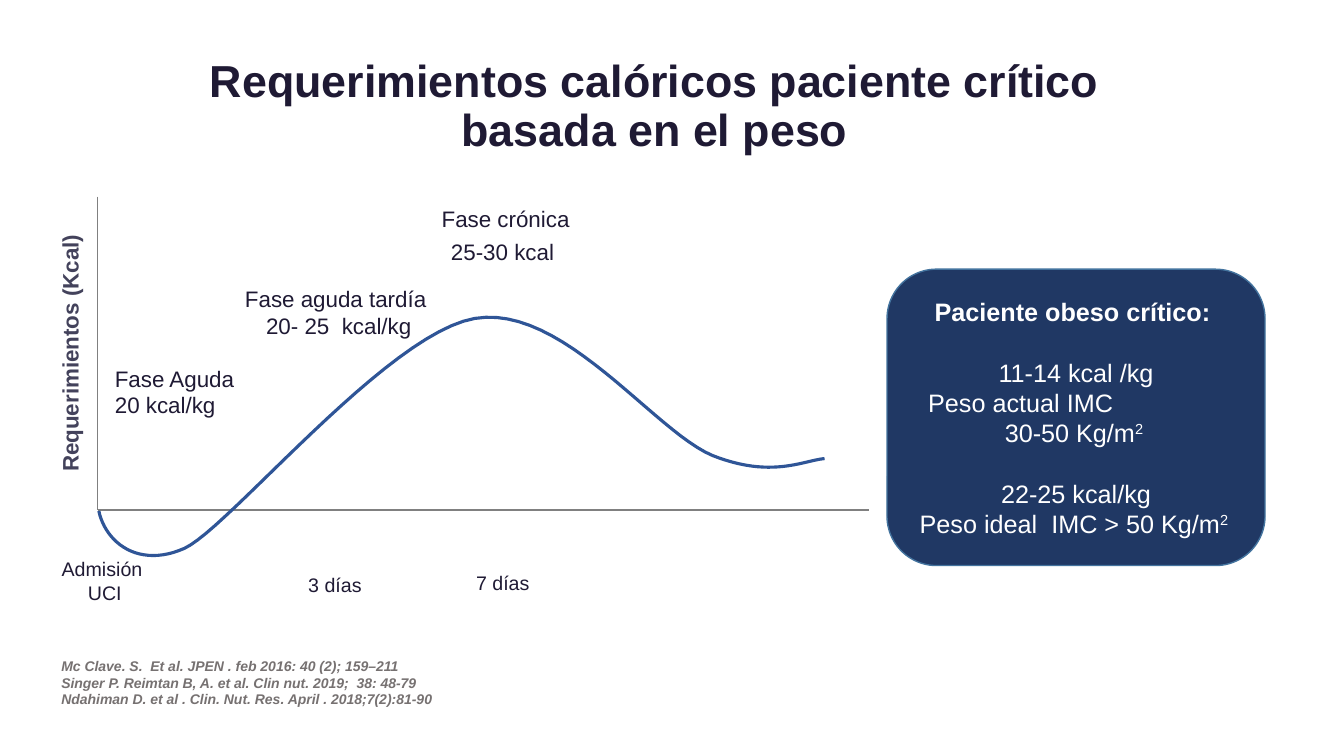
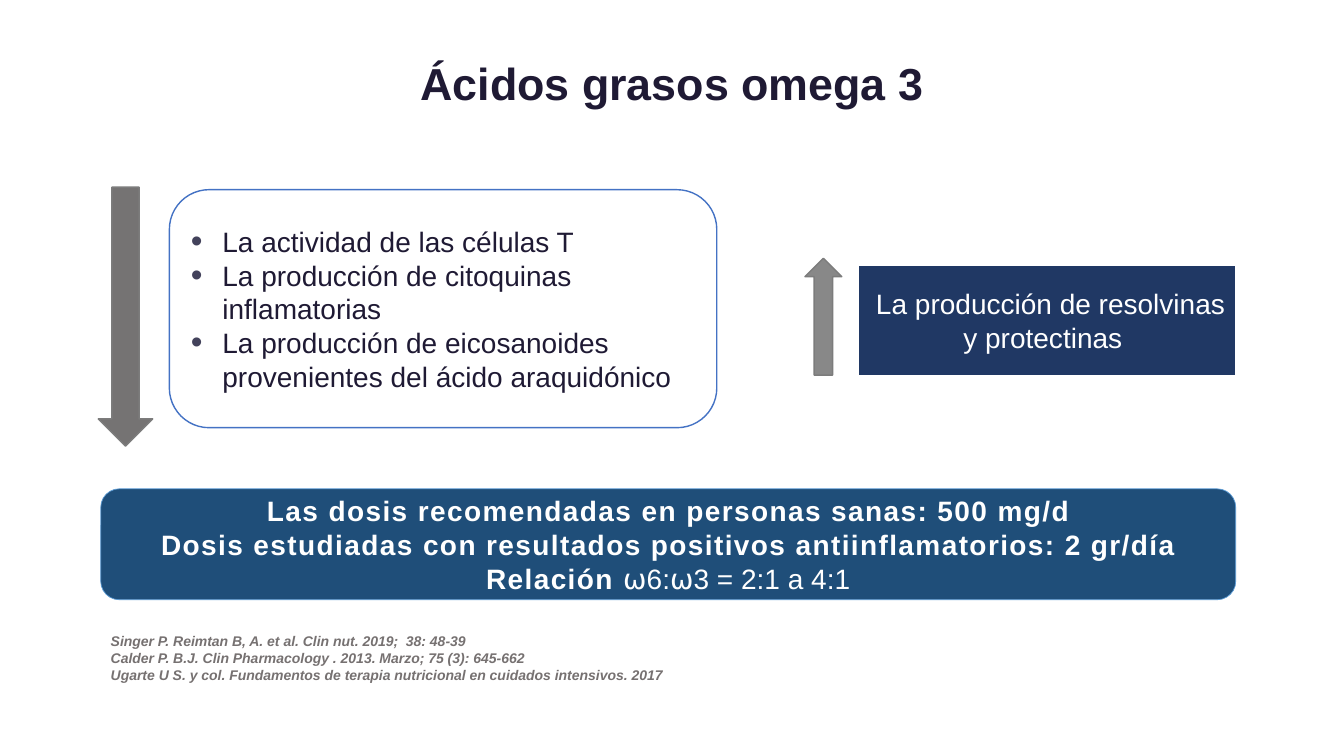
from dataclasses import dataclass, field

from lxml import etree
from pptx import Presentation
from pptx.dml.color import RGBColor
from pptx.enum import shapes, text
from pptx.oxml import ns
from pptx.util import Pt

INK, SLATE, NAVY, BLUE = "1F1A34", "43425B", "203864", "1F4E79"
CURVE, GRAY, WHITE = "2F5597", "767171", "FFFFFF"
CENTER, LEFT = text.PP_ALIGN.CENTER, text.PP_ALIGN.LEFT
KIND = shapes.MSO_SHAPE


def color(hex_string):
    return RGBColor.from_string(hex_string)


def add_xml(parent, tag, **attributes):
    return etree.SubElement(parent, ns.qn(tag), attributes)


@dataclass
class Line:
    runs: list
    format: dict = field(default_factory=dict)


class Deck:
    font = {"name": "Arial", "size": Pt(16), "bold": False, "italic": False}

    def __init__(self):
        self.presentation = Presentation()
        self.presentation.slide_width = Pt(960)
        self.presentation.slide_height = Pt(540)
        self.slide = None

    def new_slide(self):
        layout = self.presentation.slide_layouts[6]
        self.slide = self.presentation.slides.add_slide(layout)

    def add_lines(self, shape, lines, ink=INK, align=CENTER, bullets=False,
                  spacing=None, tracking=None, **font):
        frame = shape.text_frame
        for index, line in enumerate(lines):
            line = line if isinstance(line, Line) else Line([line])
            paragraph = frame.paragraphs[0] if index == 0 else frame.add_paragraph()
            formats = {"alignment": align, **(spacing or {}), **line.format}
            indent = formats.pop("indent", 0)
            for name, value in formats.items():
                setattr(paragraph, name, value)
            if indent:
                paragraph._p.get_or_add_pPr().set("marL", str(Pt(indent)))
            if bullets:
                self.bullet(paragraph)
            for item in line.runs:
                words, changes = item if isinstance(item, tuple) else (item, {})
                changes = dict(changes)
                raw = {"spc": tracking, "baseline": None}
                raw.update({key: changes.pop(key) for key in list(changes) if key in raw})
                run = paragraph.add_run()
                run.text = words
                for name, value in {**self.font, **font, **changes}.items():
                    setattr(run.font, name, value)
                run.font.color.rgb = color(ink)
                for name, value in raw.items():
                    if value is not None:
                        run._r.get_or_add_rPr().set(name, str(value))

    def bullet(self, paragraph):
        properties = paragraph._p.get_or_add_pPr()
        properties.set("marL", str(Pt(22.5)))
        properties.set("indent", str(-Pt(22.5)))
        add_xml(add_xml(properties, "a:buClr"), "a:srgbClr", val=SLATE)
        add_xml(properties, "a:buSzPct", val="119000")
        add_xml(properties, "a:buFont", typeface="Arial")
        add_xml(properties, "a:buChar", char="•")

    def text_box(self, box, lines, wrap=True, anchor=text.MSO_ANCHOR.TOP,
                 rotation=0, **style):
        shape = self.slide.shapes.add_textbox(*map(Pt, box))
        shape.rotation = rotation
        shape.text_frame.word_wrap = wrap
        shape.text_frame.vertical_anchor = anchor
        if not wrap:
            shape.text_frame.auto_size = text.MSO_AUTO_SIZE.SHAPE_TO_FIT_TEXT
        self.add_lines(shape, lines, **style)

    def title(self, box, words):
        self.text_box(box, [words], anchor=text.MSO_ANCHOR.MIDDLE, size=Pt(32),
                      bold=True, spacing={"line_spacing": 0.9})

    def label(self, box, lines, **style):
        self.text_box(box, lines, wrap=False, **style)

    def references(self, box, lines):
        self.text_box(box, lines, ink=GRAY, align=LEFT, size=Pt(10),
                      bold=True, italic=True)

    def shape(self, kind, box, fill, line, width=1, opacity=None, lines=(), **style):
        shape = self.slide.shapes.add_shape(kind, *map(Pt, box))
        shape.shadow.inherit = False
        shape.fill.solid()
        shape.fill.fore_color.rgb = color(fill)
        shape.line.color.rgb = color(line)
        shape.line.width = Pt(width)
        if opacity:
            solid_fill = shape._element.spPr.find(ns.qn("a:solidFill"))
            add_xml(solid_fill[0], "a:alpha", val=str(opacity * 1000))
        shape.text_frame.word_wrap = True
        shape.text_frame.vertical_anchor = text.MSO_ANCHOR.MIDDLE
        self.add_lines(shape, lines, **style)

    def axis(self, start, end):
        connector = self.slide.shapes.add_connector(
            shapes.MSO_CONNECTOR.STRAIGHT, *map(Pt, start + end))
        connector.line.color.rgb = color("808080")
        connector.line.width = Pt(0.75)
        add_xml(connector._element.spPr, "a:effectLst")

    def curve(self, points, steps=24):
        vertices = []
        for first in range(0, len(points) - 1, 3):
            bezier = points[first:first + 4]
            for step in range(1, steps + 1):
                t = step / steps
                weights = ((1 - t) ** 3, 3 * t * (1 - t) ** 2, 3 * t * t * (1 - t), t ** 3)
                vertices.append(tuple(
                    Pt(sum(weight * point[axis] for weight, point in zip(weights, bezier)))
                    for axis in (0, 1)))
        builder = self.slide.shapes.build_freeform(*map(Pt, points[0]))
        builder.add_line_segments(vertices, close=False)
        shape = builder.convert_to_shape()
        shape.shadow.inherit = False
        shape.fill.background()
        shape.line.color.rgb = color(CURVE)
        shape.line.width = Pt(2.25)


def calorie_slide(deck):
    deck.new_slide()
    deck.title((127.5, 24.5, 680.5, 104.5),
               "Requerimientos calóricos paciente crítico basada en el peso")
    deck.references((36.7, 466, 285, 44), [
        "Mc Clave. S.  Et al. JPEN . feb 2016: 40 (2); 159–211",
        "Singer P. Reimtan B, A. et al. Clin nut. 2019;  38: 48-79",
        "Ndahiman D. et al . Clin. Nut. Res. April . 2018;7(2):81-90"])

    deck.label((75, 257, 105, 65.5), ["Fase Aguda", "20 kcal/kg"], align=LEFT)
    deck.label((167, 200, 145.5, 46), ["Fase aguda tardía", " 20- 25  kcal/kg"])
    deck.label((307.5, 145.5, 107.3, 49), ["Fase crónica", "25-30 kcal "],
               spacing={"line_spacing": 0.9, "space_after": Pt(5.6)})
    for box, lines in [((213, 405.4, 52.6, 24.5), ["3 días"]),
                       ((332.6, 404, 57, 24.5), ["7 días "]),
                       ((36.7, 394.5, 76.3, 41), ["Admisión ", "UCI"])]:
        deck.label(box, lines, size=Pt(14))

    origin = (69.8, 364.3)
    deck.axis((69.8, 140.4), origin)
    deck.axis(origin, (620.6, 364.3))
    deck.curve([(70.6, 365), (75.6, 388.1), (99.4, 406.1), (131.8, 391.7),
                (163.4, 377.3), (276.5, 238.3), (339.1, 227.5),
                (401.8, 216.7), (467.3, 308.2), (509, 325.4),
                (550.8, 342), (573.8, 329), (589, 327.6)])
    deck.text_box((-56.9, 239, 213.8, 26.6), ["Requerimientos (Kcal)"],
                  rotation=270, ink=SLATE, bold=True)

    square = ("2 ", {"baseline": 30000})
    gap = {"space_before": Pt(21.6)}
    deck.shape(KIND.ROUNDED_RECTANGLE, (633.6, 192.3, 270, 211.7), NAVY, "43739E",
               ink=WHITE, size=Pt(18), lines=[
                   Line([("Paciente obeso crítico: ", {"bold": True})]),
                   Line(["11-14 kcal /kg"], gap),
                   Line(["Peso actual IMC"], {"alignment": LEFT, "indent": 12}),
                   Line(["30-50 Kg/m", square]),
                   Line(["22-25 kcal/kg"], gap),
                   Line(["Peso ideal  IMC > 50 Kg/m", square])])


def omega_slide(deck):
    deck.new_slide()
    deck.title((66.2, 30.2, 828, 62), "Ácidos grasos omega 3")
    deck.shape(KIND.RECTANGLE, (612.7, 189.4, 270, 79.2), NAVY, WHITE, 1.5,
               ink=WHITE, size=Pt(20),
               lines=[" La producción de resolvinas y protectinas "])
    deck.shape(KIND.DOWN_ARROW, (70.2, 133.7, 38.9, 185), "3B3838", "7C7C7C", opacity=70)
    deck.shape(KIND.UP_ARROW, (575, 184.5, 26.3, 83.5), "0D0D0D", "7C7C7C", opacity=49)
    deck.references((72, 448.5, 580, 44), [
        "Singer P. Reimtan B, A. et al. Clin nut. 2019;  38: 48-39",
        "Calder P. B.J. Clin Pharmacology . 2013. Marzo; 75 (3): 645-662",
        "Ugarte U S. y col. Fundamentos de terapia nutricional en cuidados intensivos. 2017"])
    deck.shape(KIND.ROUNDED_RECTANGLE, (121, 135.5, 391, 170), WHITE, "4472C4",
               align=LEFT, bullets=True, size=Pt(20), lines=[
                   "La actividad de las células T",
                   "La producción de citoquinas inflamatorias",
                   "La producción de eicosanoides provenientes del ácido araquidónico"])
    deck.shape(KIND.ROUNDED_RECTANGLE, (72, 349.2, 810.7, 79.2), BLUE, "5B9BD5", 0.5,
               ink=WHITE, size=Pt(20), bold=True, tracking=100, lines=[
                   "Las dosis recomendadas en personas sanas: 500 mg/d",
                   "Dosis estudiadas con resultados positivos antiinflamatorios: 2 gr/día",
                   Line(["Relación ", ("⍵6:⍵3 = 2:1 a 4:1", {"bold": False, "spc": 0})])])


def main():
    deck = Deck()
    calorie_slide(deck)
    omega_slide(deck)
    deck.presentation.save("out.pptx")


if __name__ == "__main__":
    main()
